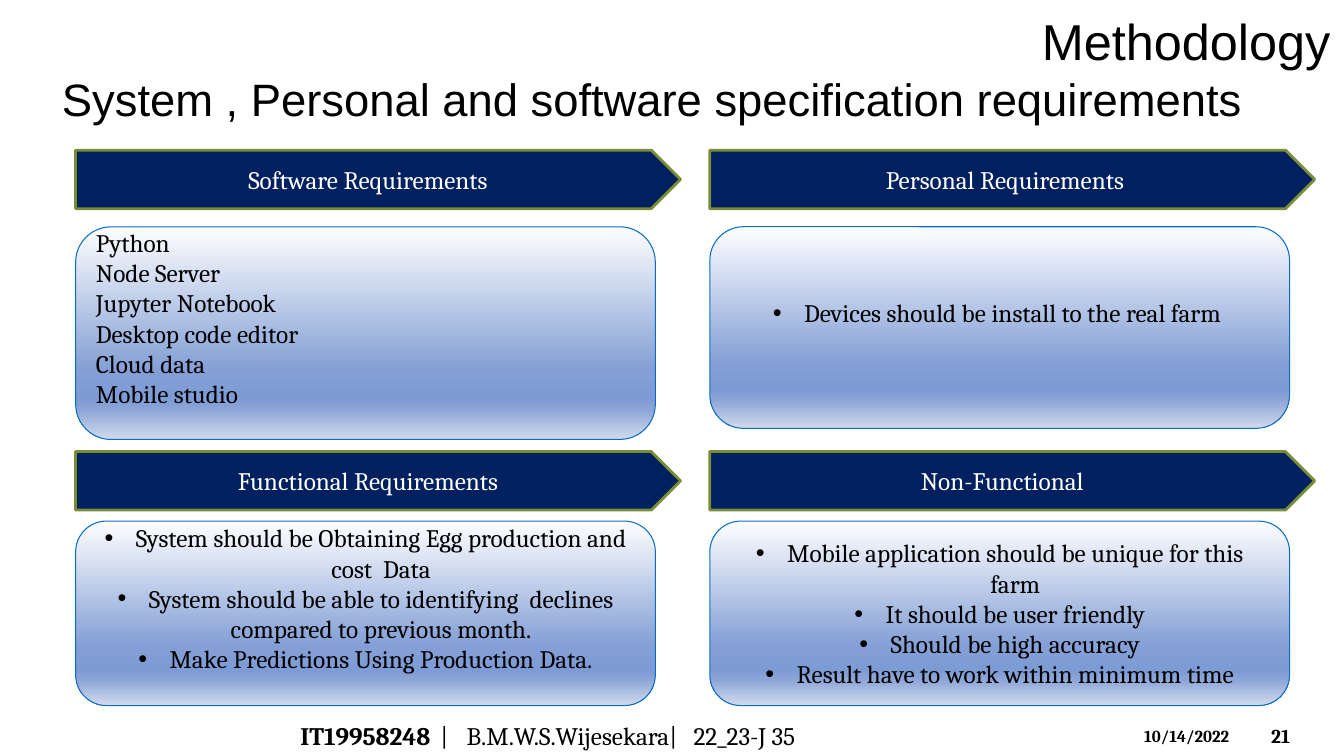
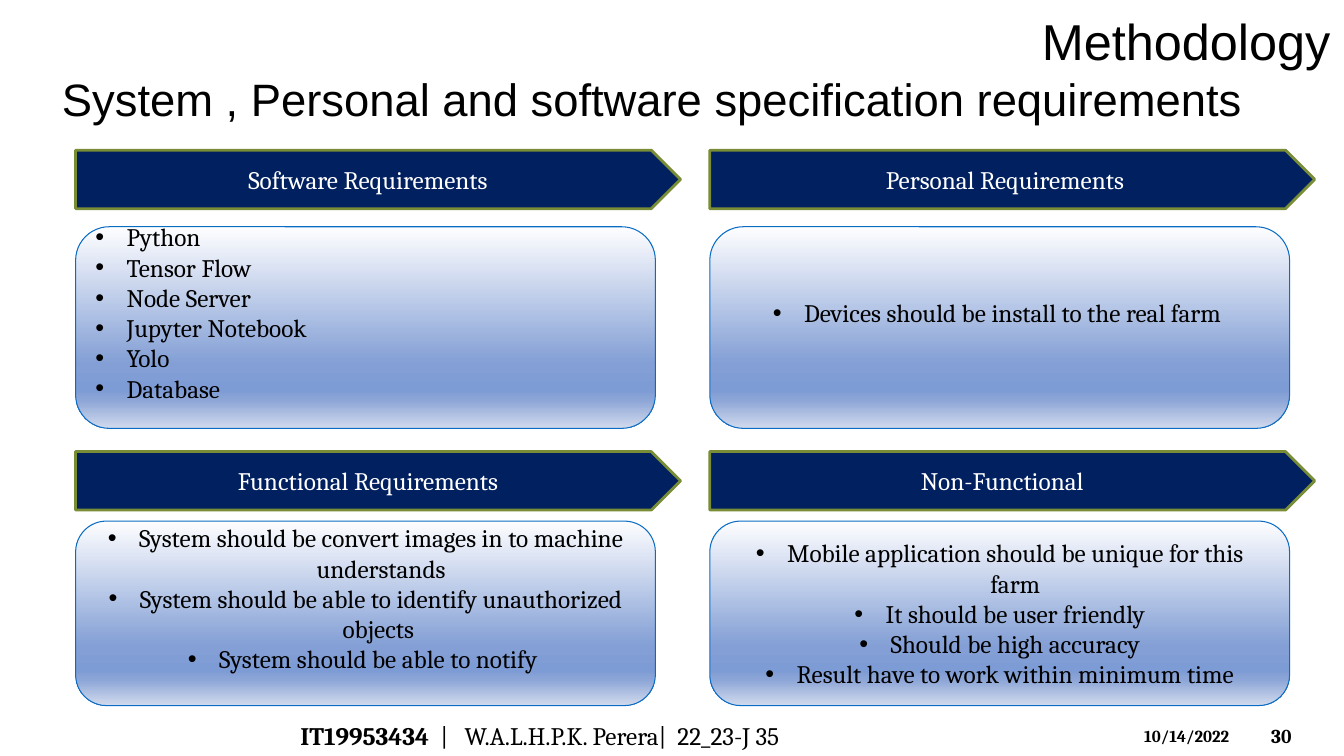
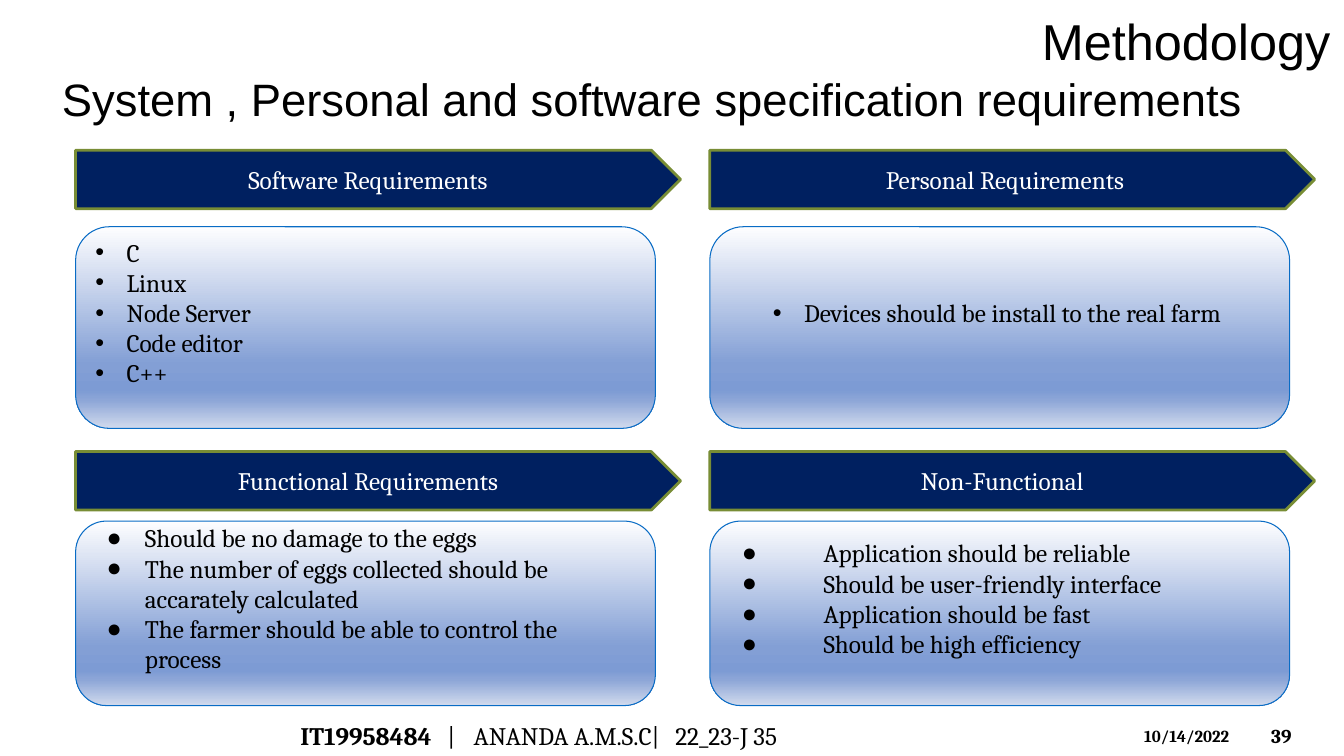
from lxml.etree import SubElement
from pptx import Presentation
from pptx.dml.color import RGBColor
from pptx.enum.shapes import MSO_SHAPE
from pptx.enum.text import MSO_ANCHOR, MSO_AUTO_SIZE, PP_ALIGN
from pptx.oxml.ns import qn
from pptx.util import Inches, Pt

BLACK = RGBColor(0x00, 0x00, 0x00)
WHITE = RGBColor(0xFF, 0xFF, 0xFF)
NAVY = RGBColor(0x00, 0x20, 0x60)
OLIVE = RGBColor(0x78, 0x8D, 0x35)
BLUE = RGBColor(0x09, 0x6C, 0xC5)
STOPS = [
    (0, RGBColor(0xFE, 0xFE, 0xFF)),
    (68, RGBColor(0x83, 0x9F, 0xD5)),
    (81, RGBColor(0x7D, 0x9B, 0xD4)),
    (86, RGBColor(0x8D, 0xA6, 0xD7)),
    (100, RGBColor(0xD1, 0xDA, 0xED)),
]
SERIF = "Cambria"
SANS = "Arial"
LEFT = PP_ALIGN.LEFT
MID = PP_ALIGN.CENTER

PLAIN = (None, 0, 0, LEFT)
DOTS = ("•", 0.31, 0.31, LEFT)
MIDDOTS = ("•", 0.31, 0.31, MID)
DISCS = ("●", 0.5, 0.38, LEFT)
WIDE = ("●", 0.94, 0.81, LEFT)

HEADS = ["Software Requirements ", "Personal Requirements",
         "Functional Requirements ", "Non-Functional "]
COLS = [0.75, 7.04]
ROWS = [(1.49, 2.25, 2), (4.48, 5.17, 1.83)]
LINE = 0.3

FARM = (["Devices should be install to the real farm "], MIDDOTS, 1, 0)
GOALS = (["Mobile application should be unique for this farm",
          "It should be user friendly",
          "Should be high accuracy",
          "Result have to work within minimum time"], MIDDOTS, 0, 0)

PAGES = [
    ("21", "IT19958248", ["|", "B.M.W.S.Wijesekara|", "22_23-J 35"], [1.39, 1.65, 3.9], [
        (["Python", "Node Server", "Jupyter Notebook", "Desktop code editor",
          "Cloud data", "Mobile studio"], PLAIN, 1, 0.11),
        FARM,
        (["System should be Obtaining Egg production and cost  Data",
          "System should be able to identifying  declines compared to previous month.",
          "Make Predictions Using Production Data."], MIDDOTS, 1, 0),
        GOALS,
    ]),
    ("30", "IT19953434", ["|", "W.A.L.H.P.K. Perera|", "22_23-J 35"], [1.39, 1.63, 3.74], [
        (["Python", "Tensor Flow", "Node Server", "Jupyter Notebook", "Yolo",
          "Database"], DOTS, 1, 0),
        FARM,
        (["System should be convert images in to machine understands",
          "System should be able to identify unauthorized objects ",
          "System should be able to notify "], MIDDOTS, 1, 0),
        GOALS,
    ]),
    ("39", "IT19958484", ["|", "ANANDA A.M.S.C|", "22_23-J 35"], [1.46, 1.72, 3.72], [
        (["C", "Linux", "Node Server", "Code editor", "C++"], DOTS, 1, 0),
        FARM,
        (["Should be no damage to the eggs",
          "The number of eggs collected should be accarately calculated",
          "The farmer should be able to control the process"], DISCS, 1, 0),
        (["Application should be reliable", "Should be user-friendly interface",
          "Application should be fast", "Should be high efficiency"], WIDE, 1, 0),
    ]),
]


def write(para, text, size, face=SERIF, color=BLACK, bold=False):
    run = para.add_run()
    run.text = text
    run.font.size = Pt(size)
    run.font.name = face
    run.font.color.rgb = color
    run.font.bold = bold


def add_box(slide, left, top, width, height, kind=None):
    place = Inches(left), Inches(top), Inches(width), Inches(height)
    if kind is None:
        box = slide.shapes.add_textbox(*place)
    else:
        box = slide.shapes.add_shape(kind, *place)
        box.shadow.inherit = False
    frame = box.text_frame
    frame.word_wrap = True
    frame.vertical_anchor = MSO_ANCHOR.MIDDLE
    return box, frame


deck = Presentation()
deck.slide_width = Inches(13.33)
deck.slide_height = Inches(7.5)
layout = deck.slide_layouts[5]
head = layout.placeholders[0]
head.left, head.top = Inches(0.14), Inches(0.54)
head.width, head.height = Inches(12.78), Inches(0.87)
head.text_frame.vertical_anchor = MSO_ANCHOR.MIDDLE
head.text_frame.auto_size = MSO_AUTO_SIZE.NONE

for number, code, parts, tabs, cards in PAGES:
    slide = deck.slides.add_slide(layout)
    para = slide.shapes.title.text_frame.paragraphs[0]
    para.alignment = MID
    write(para, "System , Personal and software specification requirements ", 32.4, SANS)

    box, frame = add_box(slide, 10.2, 0, 3.13, 0.79)
    frame.paragraphs[0].alignment = MID
    write(frame.paragraphs[0], "Methodology", 36, SANS)

    box, frame = add_box(slide, 2.88, 7.1, 7.45, 0.4)
    para = frame.paragraphs[0]
    stops = SubElement(para._p.get_or_add_pPr(), qn("a:tabLst"))
    for tab in tabs:
        SubElement(stops, qn("a:tab"), pos=str(Inches(tab)), algn="l")
    write(para, code, 18, bold=True)
    for part in parts:
        write(para, "\t" + part, 18)

    box, frame = add_box(slide, 11.25, 7.15, 1.17, 0.3)
    frame.vertical_anchor = MSO_ANCHOR.TOP
    write(frame.paragraphs[0], "10/14/2022", 12, bold=True)
    box, frame = add_box(slide, 12.51, 7.1, 0.74, 0.4)
    write(frame.paragraphs[0], number, 14, bold=True)

    for index, (items, style, space, extra) in enumerate(cards):
        left = COLS[index % 2]
        top, below, height = ROWS[index // 2]

        band, frame = add_box(slide, left, top, 6, 0.58, MSO_SHAPE.PENTAGON)
        band.fill.solid()
        band.fill.fore_color.rgb = NAVY
        band.line.color.rgb = OLIVE
        band.line.width = Pt(2)
        frame.paragraphs[0].alignment = MID
        write(frame.paragraphs[0], HEADS[index], 18, color=WHITE)

        card, frame = add_box(slide, left, below, 5.75, height + extra,
                              MSO_SHAPE.ROUNDED_RECTANGLE)
        card.fill.gradient()
        card.fill.gradient_angle = 270
        ramp = card._element.spPr.find(".//" + qn("a:gsLst"))
        for stop in list(ramp):
            ramp.remove(stop)
        for spot, color in STOPS:
            stop = SubElement(ramp, qn("a:gs"), pos=str(spot * 1000))
            SubElement(stop, qn("a:srgbClr"), val=str(color))
        card.line.color.rgb = BLUE
        card.line.width = Pt(0.75)
        frame.margin_bottom = Inches(0.05 + space * LINE)

        mark, indent, hang, align = style
        for order, item in enumerate(items):
            para = frame.add_paragraph() if order else frame.paragraphs[0]
            para.alignment = align
            if mark:
                props = para._p.get_or_add_pPr()
                props.set("marL", str(Inches(indent)))
                props.set("indent", str(-Inches(hang)))
                tint = SubElement(props, qn("a:buClr"))
                SubElement(tint, qn("a:srgbClr"), val=str(BLACK))
                SubElement(props, qn("a:buFont"), typeface=SANS)
                SubElement(props, qn("a:buChar"), char=mark)
            write(para, item, 18)

deck.save("out.pptx")
